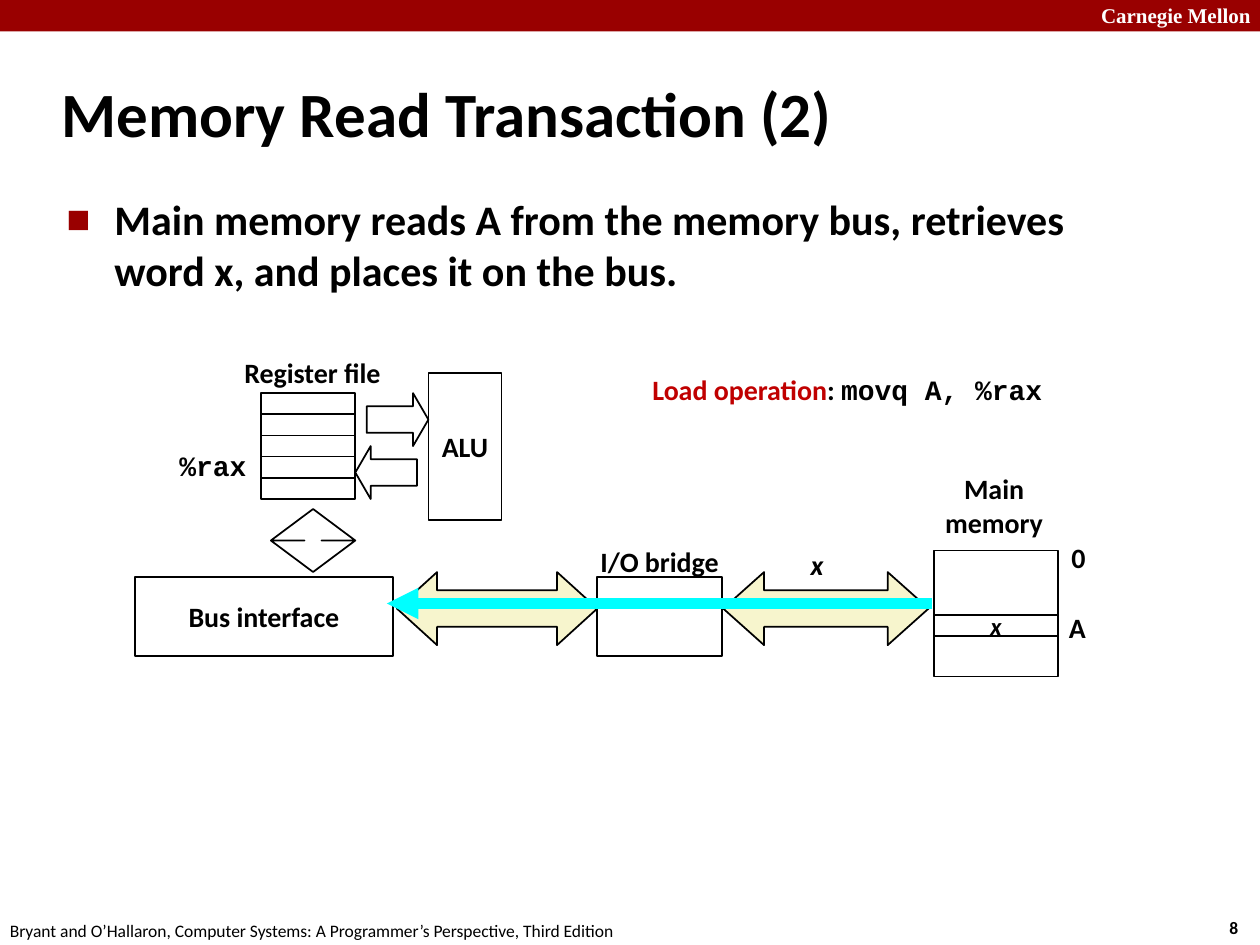
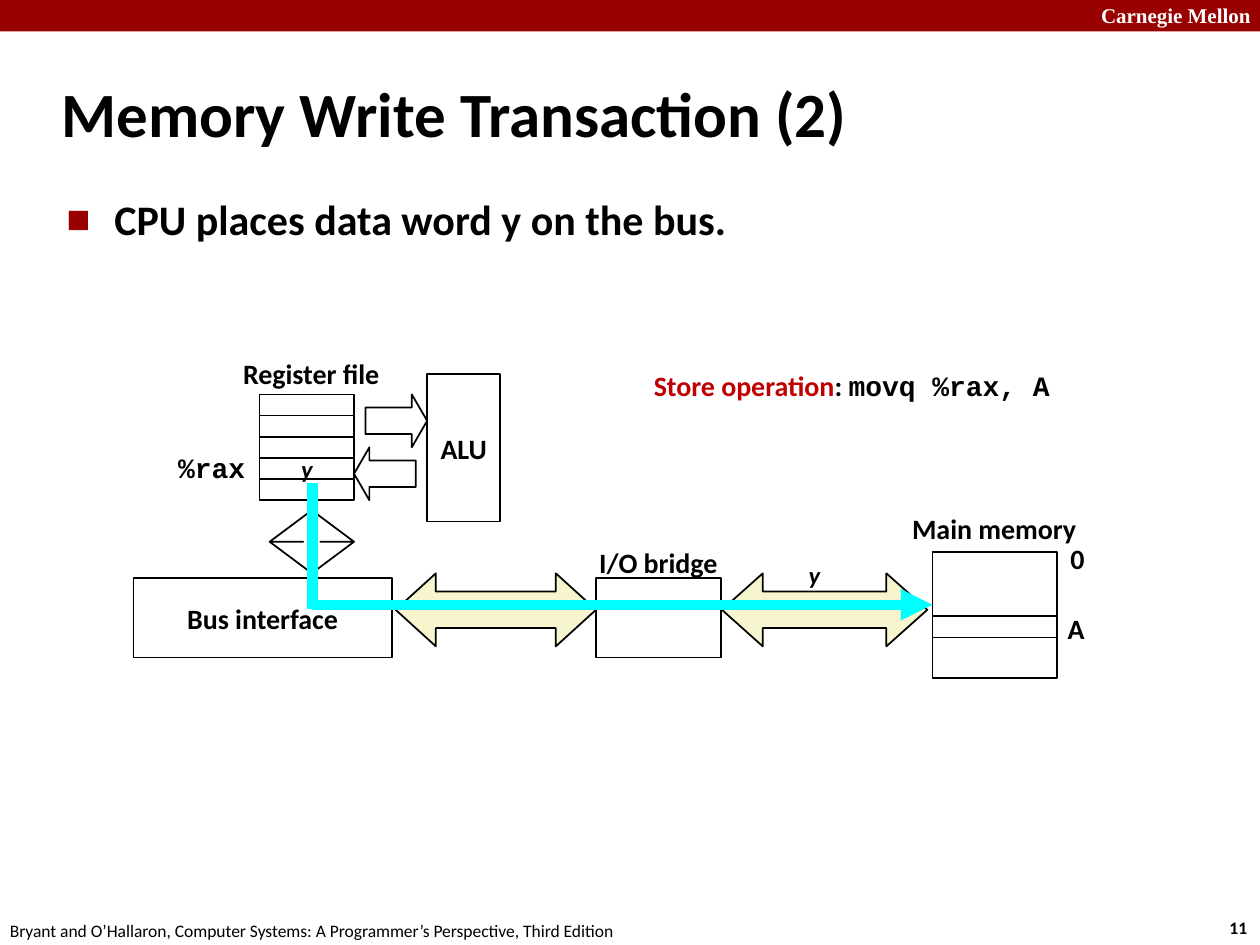
from lxml.etree import SubElement
from pptx import Presentation
from pptx.dml.color import RGBColor
from pptx.enum.shapes import MSO_CONNECTOR, MSO_SHAPE as Preset
from pptx.enum.text import MSO_ANCHOR as Anchor, MSO_AUTO_SIZE as AutoSize, PP_ALIGN as Align
from pptx.oxml.ns import qn
from pptx.util import Inches, Pt

# Colours
CRIMSON = RGBColor(0x99, 0x00, 0x00)
RED = RGBColor(0xC0, 0x00, 0x00)
CREAM = RGBColor(0xF7, 0xF5, 0xCD)
CYAN = RGBColor(0x00, 0xFF, 0xFF)
BLACK = RGBColor(0x00, 0x00, 0x00)
WHITE = RGBColor(0xFF, 0xFF, 0xFF)

# Text styles
LABEL = {"name": "Calibri", "size": Pt(16), "bold": True, "color": BLACK}
TITLE = LABEL | {"size": Pt(36)}
BODY = LABEL | {"size": Pt(24)}
WORD = LABEL | {"size": Pt(14), "italic": True}
CODE = LABEL | {"name": "Courier New"}
OPERATION = LABEL | {"color": RED}
BRAND = LABEL | {"name": "Times New Roman", "size": Pt(12), "color": WHITE}
NUMBER = LABEL | {"size": Pt(10)}
FOOTER = NUMBER | {"bold": False}

FOOTER_TEXT = "Bryant and O’Hallaron, Computer Systems: A Programmer’s Perspective, Third Edition"
BODY_INDENT = Inches(0.38)

# Register bank
REGISTER_COUNT = 5
RAX_ROW = 3
REGISTER_HEIGHT = 0.84 / REGISTER_COUNT


def write(frame, spans, align=Align.LEFT):
    """Fill the first paragraph with (text, style) spans."""
    para = frame.paragraphs[0]
    para.alignment = align
    for text, style in spans:
        span = para.add_run()
        span.text = text
        for key, value in style.items():
            if key == "color":
                span.font.color.rgb = value
            else:
                setattr(span.font, key, value)
    return para


def add_text(page, bounds, *spans, align=Align.LEFT, anchor=Anchor.MIDDLE, wrap=False, grow=True):
    box = page.shapes.add_textbox(*map(Inches, bounds))
    settings = {
        "word_wrap": wrap,
        "vertical_anchor": anchor,
        "auto_size": AutoSize.SHAPE_TO_FIT_TEXT if grow else AutoSize.NONE,
    }
    for key, value in settings.items():
        setattr(box.text_frame, key, value)
    return write(box.text_frame, spans, align)


def add_block(page, preset, bounds, fill=None, line=BLACK, adjust=(), span=None):
    block = page.shapes.add_shape(preset, *map(Inches, bounds))
    block.shadow.inherit = False
    for index, value in enumerate(adjust):
        block.adjustments[index] = value
    if fill is None:
        block.fill.background()
    else:
        block.fill.solid()
        block.fill.fore_color.rgb = fill
    if line is None:
        block.line.fill.background()
    else:
        block.line.color.rgb = line
        block.line.width = Pt(1)
    if span:
        block.text_frame.word_wrap = False
        block.text_frame.vertical_anchor = Anchor.MIDDLE
        write(block.text_frame, [span], Align.CENTER)


def add_flow(page, start, end, arrow=True):
    """Draw a thick data path, with an arrowhead at its end."""
    flow = page.shapes.add_connector(MSO_CONNECTOR.STRAIGHT, *map(Inches, start + end))
    flow.line.color.rgb = CYAN
    flow.line.width = Pt(6)
    if arrow:
        SubElement(flow.line._get_or_add_ln(), qn("a:tailEnd"), type="triangle")
    SubElement(flow._element.spPr, qn("a:effectLst"))


def add_bullet(para):
    props = para._p.get_or_add_pPr()
    props.set("marL", str(BODY_INDENT))
    props.set("indent", str(-BODY_INDENT))
    color = SubElement(props, qn("a:buClr"))
    SubElement(color, qn("a:srgbClr"), val=str(CRIMSON))
    SubElement(props, qn("a:buSzPct"), val="60000")
    SubElement(props, qn("a:buFont"), typeface="Calibri")
    SubElement(props, qn("a:buChar"), char="■")


def add_page(deck, number, title, statement):
    """Start a slide with its band, footer, title and bullet."""
    page = deck.slides.add_slide(deck.slide_layouts[6])
    add_block(page, Preset.RECTANGLE, (0, 0, 10, 0.25), CRIMSON, line=None)
    add_text(page, (8.64, -0.03, 1.43, 0.3), ("Carnegie Mellon", BRAND), anchor=Anchor.TOP, wrap=True)
    add_text(page, (9.66, 7.23, 0.37, 0.27), (number, NUMBER), anchor=Anchor.TOP)
    add_text(page, (-0.02, 7.25, 5.08, 0.27), (FOOTER_TEXT, FOOTER), anchor=Anchor.TOP)
    add_text(page, (0.39, 0.48, 8.3, 0.83), (title, TITLE), wrap=True, grow=False)
    add_bullet(add_text(page, (0.43, 1.49, 8.64, 5.44), (statement, BODY),
                        anchor=Anchor.TOP, wrap=True, grow=False))
    return page


def draw_machine(page, shift=(0, 0), register_word=None, memory_word=None):
    """Draw the processor, buses, bridge and memory."""
    def block(preset, left, top, *size, **options):
        add_block(page, preset, (left + shift[0], top + shift[1], *size), **options)

    def label(text, left, top, width, style=LABEL):
        bounds = (left + shift[0], top + shift[1], width, 0.37)
        add_text(page, bounds, (text, style), align=Align.CENTER)

    # Buses and bridge
    block(Preset.LEFT_RIGHT_ARROW, 5.74, 4.54, 1.63, 0.58, fill=CREAM, adjust=(0.5, 0.56))
    block(Preset.RECTANGLE, 4.74, 4.58, 0.99, 0.63)
    block(Preset.LEFT_RIGHT_ARROW, 3.15, 4.54, 1.59, 0.58, fill=CREAM, adjust=(0.5, 0.55))
    label("I/O bridge", 4.66, 4.27, 1.15)

    # Registers
    for row in range(REGISTER_COUNT):
        word = register_word if row == RAX_ROW else None
        block(Preset.RECTANGLE, 2.07, 3.12 + row * REGISTER_HEIGHT, 0.75, REGISTER_HEIGHT,
              span=word and (word, WORD))
    label("Register file", 1.83, 2.77, 1.3)
    label("%rax", 1.32, 3.51, 0.74, CODE)

    # ALU and bus interface
    block(Preset.RIGHT_ARROW, 2.91, 3.12, 0.49, 0.42, adjust=(0.5, 0.29))
    block(Preset.LEFT_ARROW, 2.82, 3.54, 0.49, 0.42, adjust=(0.5, 0.29))
    block(Preset.RECTANGLE, 3.4, 2.96, 0.58, 1.17, span=("ALU", LABEL))
    block(Preset.UP_DOWN_ARROW, 2.15, 4.04, 0.67, 0.5, adjust=(0.5, 0.2))
    block(Preset.RECTANGLE, 1.07, 4.58, 2.05, 0.63, fill=WHITE, span=("Bus interface", LABEL))

    # Main memory
    block(Preset.RECTANGLE, 7.41, 4.37, 0.99, 1)
    block(Preset.RECTANGLE, 7.41, 4.88, 0.99, 0.17, span=memory_word and (memory_word, WORD))
    label("0", 8.4, 4.24, 0.32)
    label("A", 8.38, 4.79, 0.34)


def add_operation(page, bounds, name, instruction):
    add_text(page, bounds, (name, OPERATION), (": ", LABEL), (instruction, CODE), anchor=Anchor.TOP)


def build_read(deck):
    page = add_page(deck, "8", "Memory Read Transaction (2)",
                    "Main memory reads A from the memory bus, retrieves word x, and places it on the bus.")
    draw_machine(page, memory_word="x")
    add_flow(page, (7.4, 4.79), (3.07, 4.79))
    add_text(page, (6.33, 4.29, 0.31, 0.37), ("x", WORD | {"size": Pt(16)}), align=Align.CENTER)
    add_text(page, (7.17, 3.69, 1.44, 0.64), ("Main memory", LABEL), align=Align.CENTER, wrap=True)
    add_operation(page, (5.08, 2.91, 3.34, 0.64), "Load operation", "movq A, %rax")


def build_write(deck):
    page = add_page(deck, "11", "Memory Write Transaction (2)", "CPU places data word y on the bus.")
    draw_machine(page, shift=(-0.01, 0.01), register_word="y")
    add_flow(page, (2.48, 3.83), (2.48, 4.83), arrow=False)
    add_flow(page, (2.48, 4.8), (7.4, 4.8))
    add_text(page, (6.32, 4.39, 0.29, 0.34), ("y", WORD))
    add_text(page, (7.13, 4.01, 1.52, 0.37), ("Main memory", LABEL), align=Align.CENTER)
    add_operation(page, (5.09, 2.88, 3.39, 0.64), "Store operation", "movq %rax, A")


def main():
    deck = Presentation()
    deck.slide_width, deck.slide_height = Inches(10), Inches(7.5)
    build_read(deck)
    build_write(deck)
    deck.save("out.pptx")


if __name__ == "__main__":
    main()
